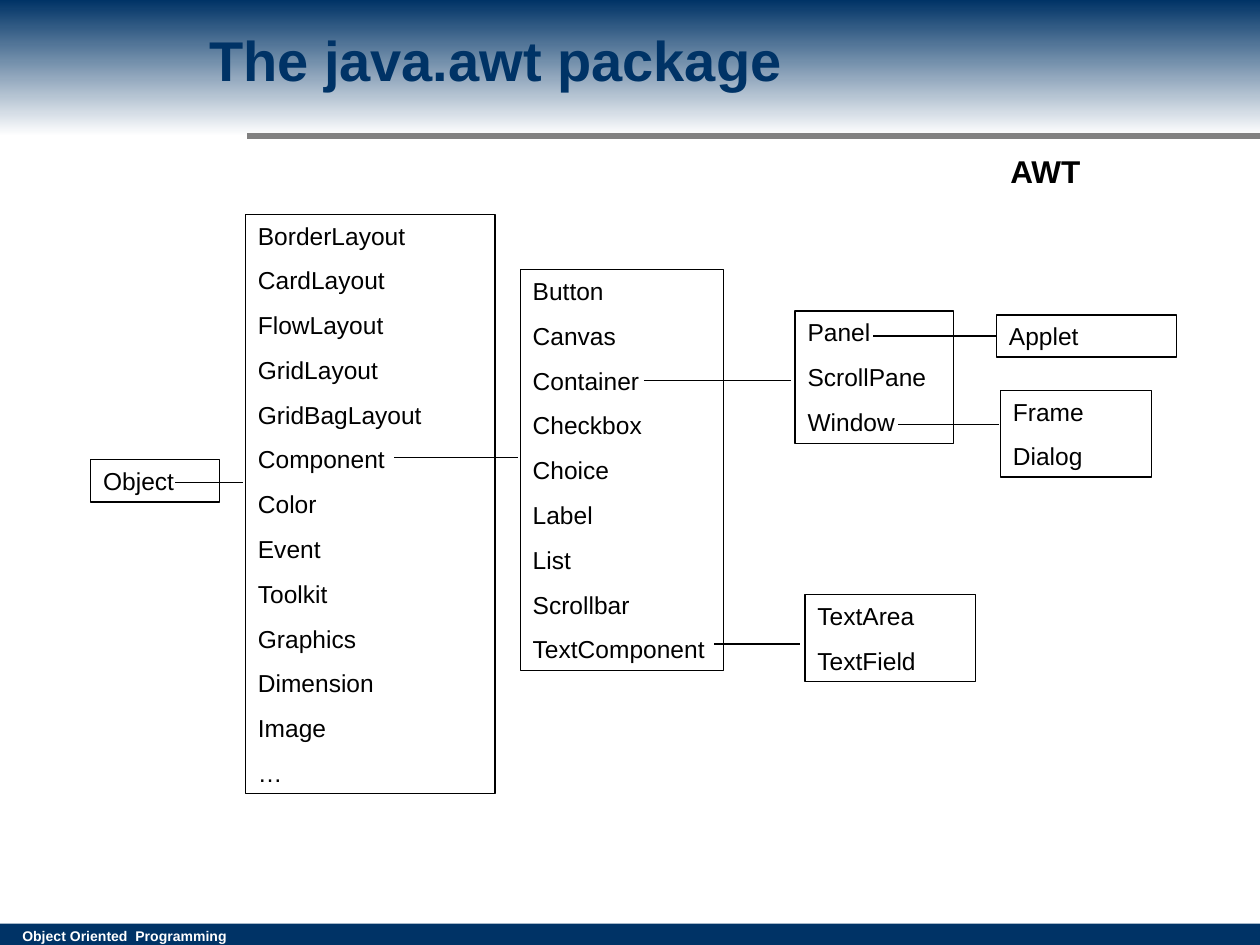
from lxml import etree
from pptx import Presentation
from pptx.dml.color import RGBColor
from pptx.enum import shapes, text
from pptx.oxml.ns import qn
from pptx.util import Cm, Pt

NAVY = RGBColor(0x00, 0x33, 0x66)
WHITE = RGBColor(0xFF, 0xFF, 0xFF)
GREY = RGBColor(0x80, 0x80, 0x80)
BLACK = RGBColor(0x00, 0x00, 0x00)
FONT = "Arial"

# Class groups: left, top, width, height in cm, then the class names
GROUPS = {
    "root": (1.83, 9.27, 2.59, 0.85, ["Object"]),
    "awt": (4.95, 4.32, 5.03, 11.68, [
        "BorderLayout", "CardLayout", "FlowLayout", "GridLayout",
        "GridBagLayout", "Component", "Color", "Event", "Toolkit",
        "Graphics", "Dimension", "Image", "…"]),
    "components": (10.49, 5.44, 4.09, 8.08, [
        "Button", "Canvas", "Container", "Checkbox", "Choice", "Label",
        "List", "Scrollbar", "TextComponent"]),
    "containers": (16.03, 6.27, 3.2, 2.67, ["Panel", "ScrollPane", "Window"]),
    "text inputs": (16.23, 11.99, 3.43, 1.75, ["TextArea", "TextField"]),
    "panels": (20.09, 6.35, 3.63, 0.85, ["Applet"]),
    "windows": (20.17, 7.87, 3.05, 1.75, ["Frame", "Dialog"]),
}

# Level links from a class name to its subclasses: start x, end x, y in cm
LINKS = [
    (3.53, 4.9, 9.73),     # Object
    (7.95, 10.44, 9.22),   # Component
    (12.98, 15.95, 7.67),  # Container
    (14.4, 16.13, 12.98),  # TextComponent
    (18.11, 20.14, 8.56),  # Window
]
PANEL_LINK_START = 17.6


def add_run(paragraph, words, size, color, bold=False):
    run = paragraph.add_run()
    run.text = words
    run.font.name = FONT
    run.font.size = Pt(size)
    run.font.bold = bold
    run.font.color.rgb = color


def add_rect(slide, left, top, width, height):
    rect = slide.shapes.add_shape(shapes.MSO_SHAPE.RECTANGLE,
                                  Cm(left), Cm(top), Cm(width), Cm(height))
    rect.shadow.inherit = False
    return rect


def add_band(slide, top, height):
    """Add a borderless full-width rectangle and return its fill."""
    band = add_rect(slide, 0, top, 25.4, height)
    band.line.fill.background()
    return band.fill


def add_label(slide, left, top, width, height, words, size, color, wrap):
    label = slide.shapes.add_textbox(Cm(left), Cm(top), Cm(width), Cm(height))
    label.text_frame.word_wrap = wrap
    add_run(label.text_frame.paragraphs[0], words, size, color, bold=True)


def add_line(slide, start_x, end_x, y, color=BLACK, weight=0.75):
    line = slide.shapes.add_connector(shapes.MSO_CONNECTOR.STRAIGHT,
                                      Cm(start_x), Cm(y), Cm(end_x), Cm(y))
    line.line.color.rgb = color
    line.line.width = Pt(weight)
    etree.SubElement(line._element.spPr, qn("a:effectLst"))
    return line


def add_class_group(slide, left, top, width, height, class_names):
    group = add_rect(slide, left, top, width, height)
    group.fill.background()
    group.line.color.rgb = BLACK
    group.line.width = Pt(0.75)
    frame = group.text_frame
    frame.word_wrap = True
    frame.auto_size = text.MSO_AUTO_SIZE.SHAPE_TO_FIT_TEXT
    frame.vertical_anchor = text.MSO_ANCHOR.TOP
    for index, class_name in enumerate(class_names):
        paragraph = frame.add_paragraph() if index else frame.paragraphs[0]
        paragraph.alignment = text.PP_ALIGN.LEFT
        paragraph.space_before = Pt(8.8)
        add_run(paragraph, class_name, 14, BLACK)
    return group


def add_frame(slide):
    """Add the footer, the header band with its rule, and the topic label."""
    footer = add_band(slide, 18.62, 0.43)
    footer.solid()
    footer.fore_color.rgb = NAVY
    add_label(slide, 0.2, 18.57, 5.11, 0.61, "Object Oriented  Programming",
              8, WHITE, wrap=True)
    header = add_band(slide, 0, 2.74)
    header.gradient()
    header.gradient_angle = 270
    for stop, position, color in zip(header.gradient_stops, (0, 1),
                                     (NAVY, WHITE)):
        stop.position = position
        stop.color.rgb = color
    add_line(slide, 4.98, 25.4, 2.74, GREY, 3)
    add_label(slide, 20.12, 2.95, 1.96, 1.02, "AWT", 18, BLACK, wrap=False)


def set_title(slide, words):
    title = slide.shapes.title
    title.left, title.top = Cm(3.96), Cm(-0.08)
    title.width, title.height = Cm(19.05), Cm(2.54)
    title.text_frame.vertical_anchor = text.MSO_ANCHOR.MIDDLE
    paragraph = title.text_frame.paragraphs[0]
    paragraph.alignment = text.PP_ALIGN.LEFT
    add_run(paragraph, words, 32, NAVY, bold=True)
    # The title must lie in front of the header band
    slide.shapes._spTree.append(title._element)


def main():
    deck = Presentation()
    deck.slide_width, deck.slide_height = Cm(25.4), Cm(19.05)
    slide = deck.slides.add_slide(deck.slide_layouts[5])
    add_frame(slide)
    set_title(slide, "The java.awt package")

    groups = {name: add_class_group(slide, *group)
              for name, group in GROUPS.items()}
    for link in LINKS:
        add_line(slide, *link)
    left, top, _, height, _ = GROUPS["panels"]
    panel_link = add_line(slide, PANEL_LINK_START, left, top + height / 2)
    panel_link.end_connect(groups["panels"], 1)
    deck.save("out.pptx")


if __name__ == "__main__":
    main()
